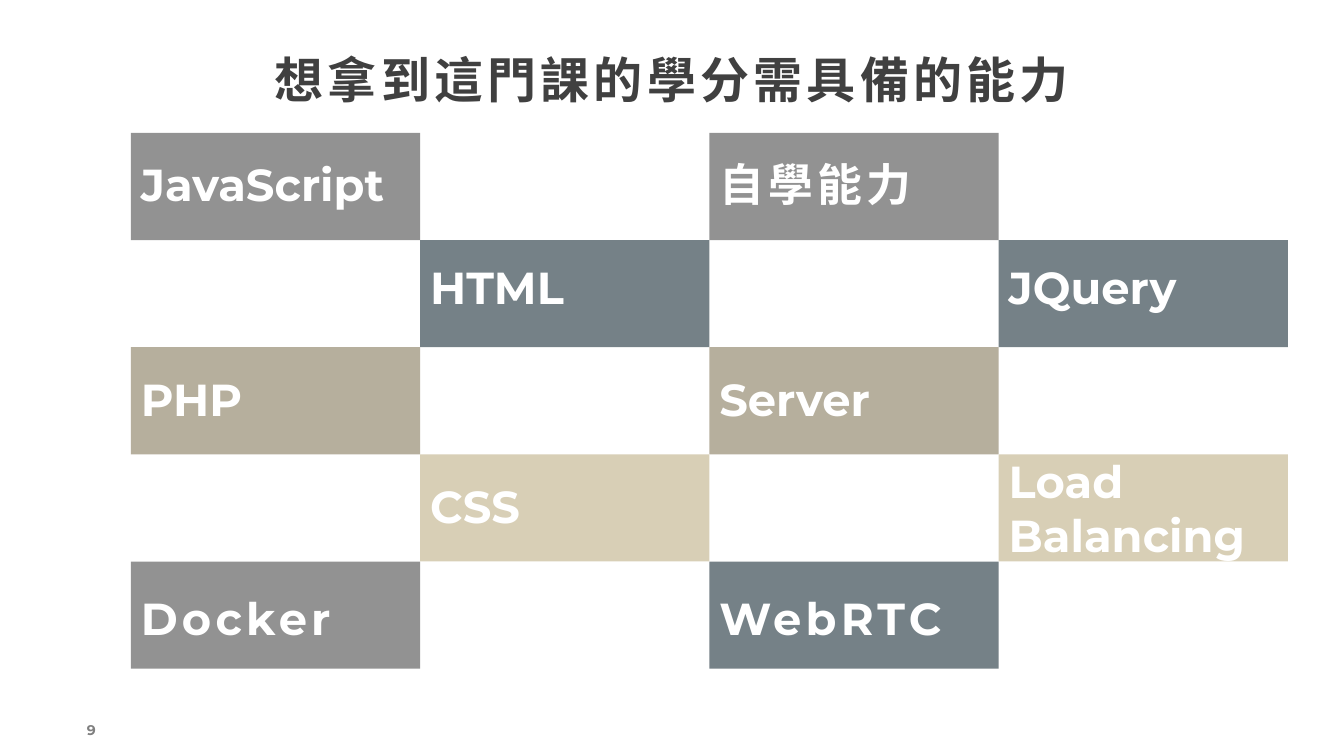
from lxml import etree
from pptx import Presentation
from pptx.dml.color import RGBColor
from pptx.enum.shapes import MSO_SHAPE
from pptx.enum.text import MSO_ANCHOR, PP_ALIGN
from pptx.oxml.ns import qn
from pptx.util import Cm, Pt

RECTANGLE = MSO_SHAPE.RECTANGLE
CENTER, LEFT = PP_ALIGN.CENTER, PP_ALIGN.LEFT
TOP, MIDDLE = MSO_ANCHOR.TOP, MSO_ANCHOR.MIDDLE

COLORS = {
    "gray": "929292",
    "slate": "758187",
    "taupe": "B6AF9D",
    "sand": "D8CFB6",
    "title": "404040",
    "number": "808080",
    "label": "FFFFFF",
}
LATIN_FONT = "Montserrat"
CHINESE_FONT = "Noto Sans CJK SC"

SLIDE_WIDTH, SLIDE_HEIGHT = 33.87, 19.05
GRID_LEFT, GRID_TOP = 3.3, 3.35
TILE_WIDTH, TILE_HEIGHT = 7.29, 2.7
LABEL_WIDTH, LABEL_HEIGHT = 7.9, 1.63

# Skill, row, column, tile color, label offset from the tile top, letter spacing
SKILLS = [
    ("JavaScript", 0, 0, "gray", 0.48, 0),
    ("自學能力", 0, 2, "gray", 0.48, 3),
    ("HTML", 1, 1, "slate", 0.38, 0),
    ("JQuery", 1, 3, "slate", 0.38, 0),
    ("PHP", 2, 0, "taupe", 0.5, 0),
    ("Server", 2, 2, "taupe", 0.5, 0),
    ("CSS", 3, 1, "sand", 0.5, 0),
    ("Load Balancing", 3, 3, "sand", -0.13, 0),
    ("Docker", 4, 0, "gray", 0.6, 3),
    ("WebRTC", 4, 2, "slate", 0.6, 3),
]


def add_text(text, left, top, width, height, size, color,
             align=LEFT, anchor=TOP, spacing=0):
    """Add a bold one-run text box; lengths in cm, size and spacing in points."""
    box = slide.shapes.add_textbox(Cm(left), Cm(top), Cm(width), Cm(height))
    frame = box.text_frame
    frame.word_wrap = True
    frame.vertical_anchor = anchor
    paragraph = frame.paragraphs[0]
    paragraph.alignment = align
    run = paragraph.add_run()
    run.text = text
    run.font.size = Pt(size)
    run.font.bold = True
    run.font.name = LATIN_FONT
    run.font.color.rgb = RGBColor.from_string(COLORS[color])
    properties = run.font._element
    if spacing:
        properties.set("spc", str(spacing * 100))
    east_asian = etree.Element(qn("a:ea"), typeface=CHINESE_FONT)
    properties.find(qn("a:latin")).addnext(east_asian)


presentation = Presentation()
presentation.slide_width = Cm(SLIDE_WIDTH)
presentation.slide_height = Cm(SLIDE_HEIGHT)
slide = presentation.slides.add_slide(presentation.slide_layouts[6])

add_text("9", 1.52, 17.88, 1.57, 1.02, 10, "number", CENTER, MIDDLE)
add_text("想拿到這門課的學分需具備的能力", 0, 1.12, SLIDE_WIDTH, 1.75,
         35, "title", CENTER, spacing=3)

for skill, row, column, color, offset, spacing in SKILLS:
    left = GRID_LEFT + column * TILE_WIDTH
    top = GRID_TOP + row * TILE_HEIGHT
    tile = slide.shapes.add_shape(
        RECTANGLE, Cm(left), Cm(top), Cm(TILE_WIDTH), Cm(TILE_HEIGHT))
    tile.shadow.inherit = False
    tile.fill.solid()
    tile.fill.fore_color.rgb = RGBColor.from_string(COLORS[color])
    tile.line.fill.background()
    add_text(skill, left, top + offset, LABEL_WIDTH, LABEL_HEIGHT,
             32, "label", spacing=spacing)

presentation.save("out.pptx")
